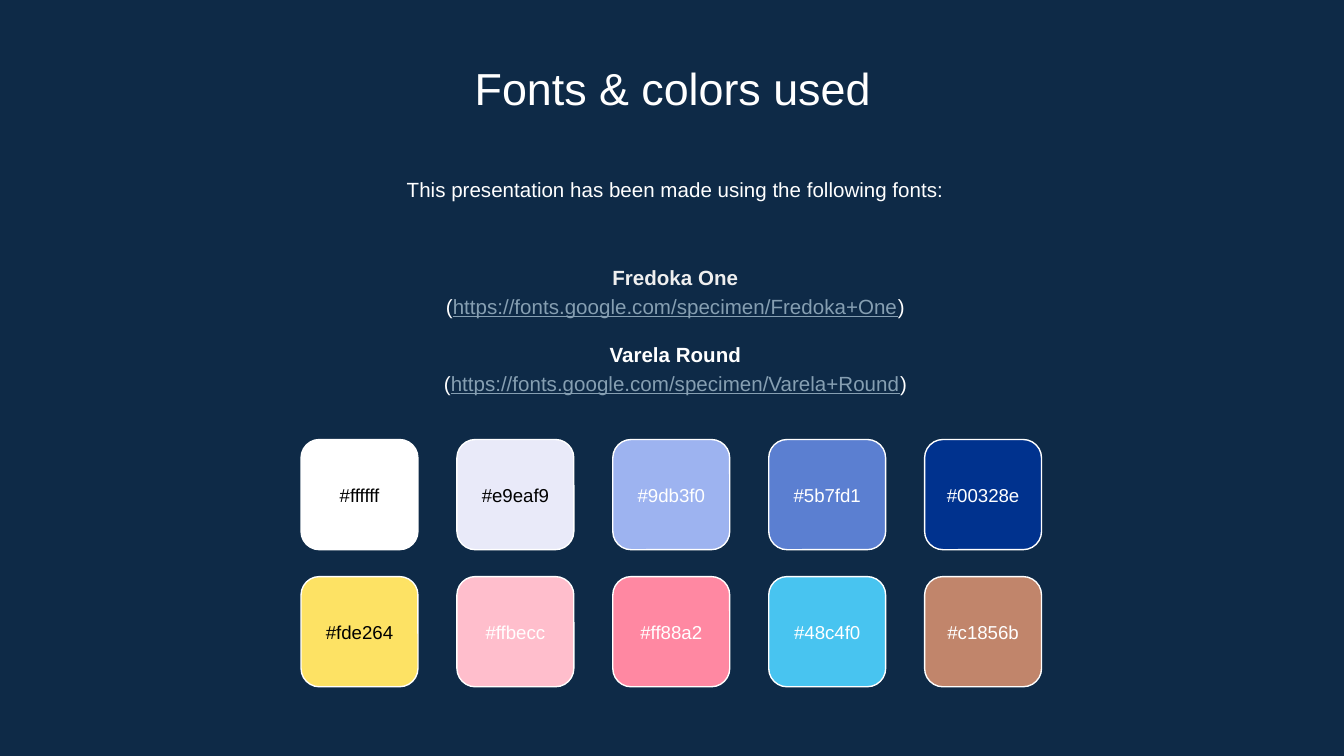
from dataclasses import dataclass

from pptx import Presentation
from pptx.dml.color import RGBColor
from pptx.enum.shapes import MSO_SHAPE
from pptx.enum.text import MSO_ANCHOR, PP_ALIGN
from pptx.slide import Slide
from pptx.util import Inches, Pt

ROUNDED = MSO_SHAPE.ROUNDED_RECTANGLE
CENTER = PP_ALIGN.CENTER
TOP, MIDDLE = MSO_ANCHOR.TOP, MSO_ANCHOR.MIDDLE

FONT = "Arial"
NAVY, WHITE, BLACK = "0E2A47", "FFFFFF", "000000"
LIGHT_GRAY, LINK_BLUE = "EFEFEF", "869FB2"

# Swatch grid, in inches
GRID_LEFT, GRID_TOP = 2.24, 3.27
COLUMN_PITCH, ROW_PITCH = 1.16, 1.02
SWATCH_WIDTH, SWATCH_HEIGHT = 0.87, 0.82
LABEL_HEIGHT = 0.48


@dataclass
class Run:
    text: str
    color: str = WHITE
    bold: bool = False
    underline: bool = False


@dataclass
class Line:
    runs: list[Run]
    space_before: float = 0


@dataclass
class Swatch:
    code: str
    text_color: str = WHITE


SWATCH_ROWS = [
    [Swatch("#ffffff", BLACK), Swatch("#e9eaf9", BLACK), Swatch("#9db3f0"),
     Swatch("#5b7fd1"), Swatch("#00328e")],
    [Swatch("#fde264", BLACK), Swatch("#ffbecc"), Swatch("#ff88a2"),
     Swatch("#48c4f0"), Swatch("#c1856b")],
]


def rgb(color: str) -> RGBColor:
    return RGBColor.from_string(color.lstrip("#").upper())


def add_text(slide: Slide, lines: list[Line], *, left: float, top: float,
             width: float, height: float, size: float,
             anchor: MSO_ANCHOR = TOP, line_spacing: float = 1.0) -> None:
    box = slide.shapes.add_textbox(
        Inches(left), Inches(top), Inches(width), Inches(height))
    frame = box.text_frame
    frame.word_wrap = True
    frame.vertical_anchor = anchor
    frame.margin_left = frame.margin_right = Inches(0.1)
    frame.margin_top = frame.margin_bottom = Inches(0.1)
    for index, line in enumerate(lines):
        paragraph = frame.add_paragraph() if index else frame.paragraphs[0]
        paragraph.alignment = CENTER
        paragraph.line_spacing = line_spacing
        if line.space_before:
            paragraph.space_before = Pt(line.space_before)
        for part in line.runs:
            run = paragraph.add_run()
            run.text = part.text
            run.font.name = FONT
            run.font.size = Pt(size)
            run.font.bold = part.bold
            run.font.underline = part.underline
            run.font.color.rgb = rgb(part.color)


def add_swatch(slide: Slide, swatch: Swatch, left: float, top: float) -> None:
    shape = slide.shapes.add_shape(
        ROUNDED, Inches(left), Inches(top),
        Inches(SWATCH_WIDTH), Inches(SWATCH_HEIGHT))
    shape.shadow.inherit = False
    shape.fill.solid()
    shape.fill.fore_color.rgb = rgb(swatch.code)
    shape.line.color.rgb = rgb(WHITE)
    shape.line.width = Pt(0.75)
    add_text(slide, [Line([Run(swatch.code, swatch.text_color)])],
             left=left, top=top + (SWATCH_HEIGHT - LABEL_HEIGHT) / 2,
             width=SWATCH_WIDTH, height=LABEL_HEIGHT, size=10, anchor=MIDDLE)


def link_line(address: str) -> Line:
    return Line([Run("("), Run(address, LINK_BLUE, underline=True), Run(")")])


def main() -> None:
    presentation = Presentation()
    presentation.slide_width = Inches(10)
    presentation.slide_height = Inches(10 * 9 / 16)
    slide = presentation.slides.add_slide(presentation.slide_layouts[6])
    slide.background.fill.solid()
    slide.background.fill.fore_color.rgb = rgb(NAVY)

    # Title and introduction
    add_text(slide, [Line([Run("Fonts & colors used")])],
             left=1.15, top=0.35, width=7.71, height=0.53, size=24)
    introduction = "This presentation has been made using the following fonts:"
    add_text(slide, [Line([Run(introduction)])], left=1.17, top=1.19,
             width=7.71, height=0.48, size=11, line_spacing=1.15)

    # Font names with their addresses
    font_lines = [
        Line([Run("Fredoka One", LIGHT_GRAY, bold=True)]),
        link_line("https://fonts.google.com/specimen/Fredoka+One"),
        Line([Run("Varela Round", bold=True)], space_before=11),
        link_line("https://fonts.google.com/specimen/Varela+Round"),
    ]
    add_text(slide, font_lines, left=1.17, top=1.76, width=7.71, height=1.37,
             size=11, anchor=MIDDLE, line_spacing=1.15)

    # Color swatches
    for row, swatches in enumerate(SWATCH_ROWS):
        for column, swatch in enumerate(swatches):
            add_swatch(slide, swatch, GRID_LEFT + column * COLUMN_PITCH,
                       GRID_TOP + row * ROW_PITCH)

    presentation.save("out.pptx")


if __name__ == "__main__":
    main()
